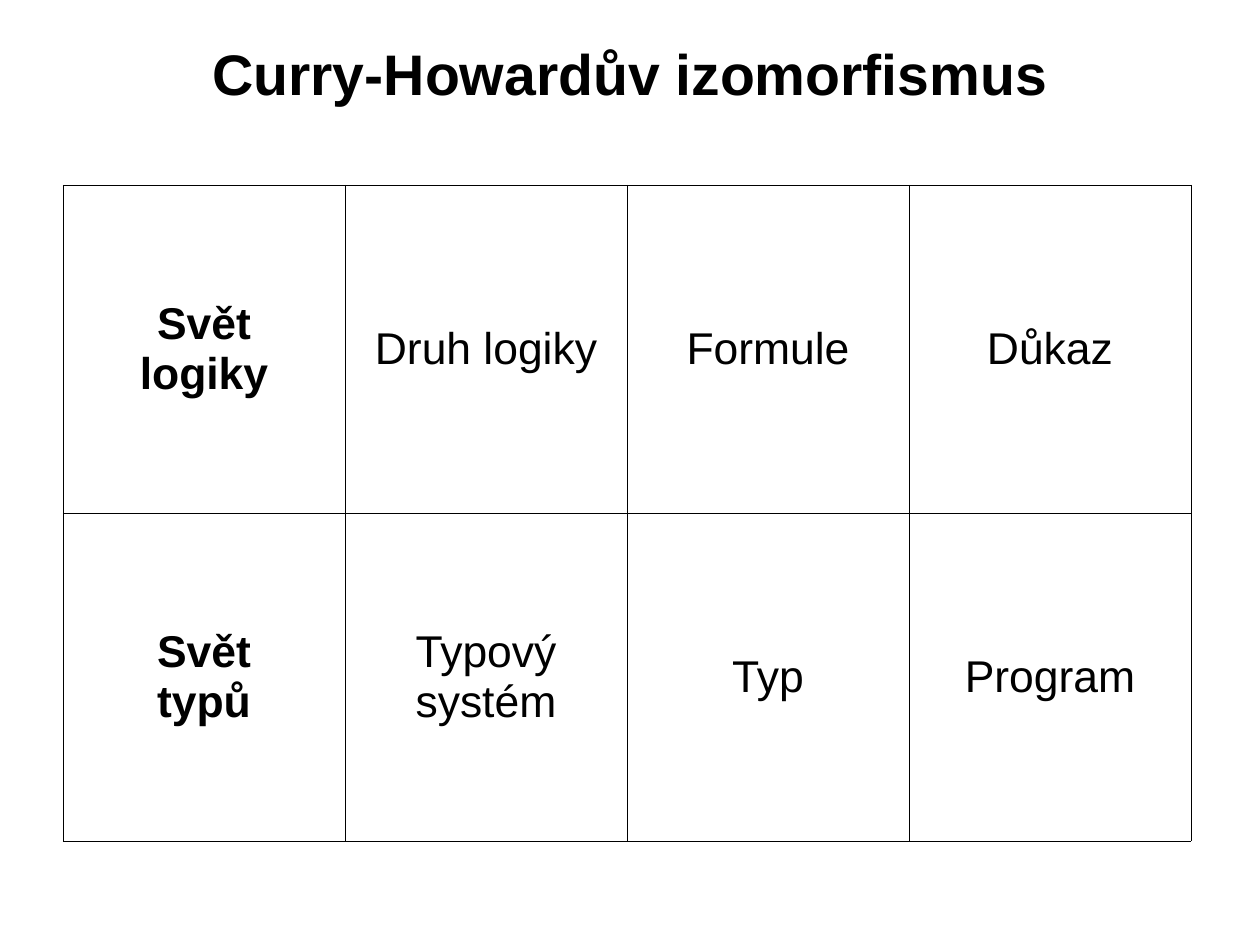
import pptx
import pptx.dml.color
import pptx.enum.text
import pptx.oxml
import pptx.oxml.ns
import pptx.util

TITLE = "Curry-Howardův izomorfismus"
WORLDS = [
    ("Svět\nlogiky", "Druh logiky", "Formule", "Důkaz"),
    ("Svět\ntypů", "Typový systém", "Typ", "Program"),
]

BLACK = pptx.dml.color.RGBColor(0, 0, 0)
WHITE = pptx.dml.color.RGBColor(255, 255, 255)
FONT = "Arial"
EMU_PER_PX = 8000
BORDER_EMU = 762

SLIDE_WIDTH, SLIDE_HEIGHT = 1260, 945
TITLE_BOX = (63, 41, 1134, 64)
TABLE_LEFT, TABLE_TOP = 63, 185
COLUMN_WIDTH, ROW_HEIGHT = 282, 328


def px(length):
    return pptx.util.Emu(length * EMU_PER_PX)


def write_text(frame, text, size, bold):
    frame.text = text
    frame.word_wrap = True
    for para in frame.paragraphs:
        para.alignment = pptx.enum.text.PP_ALIGN.CENTER
        para.font.name = FONT
        para.font.size = pptx.util.Pt(size)
        para.font.bold = bold
        para.font.color.rgb = BLACK


def add_borders(cell):
    properties = cell._tc.get_or_add_tcPr()
    for index, side in enumerate(("lnL", "lnR", "lnT", "lnB")):
        line = pptx.oxml.parse_xml(
            f'<a:{side} {pptx.oxml.ns.nsdecls("a")} w="{BORDER_EMU}">'
            f'<a:solidFill><a:srgbClr val="{BLACK}"/></a:solidFill></a:{side}>'
        )
        properties.insert(index, line)


def add_title(page):
    box = page.shapes.add_textbox(*map(px, TITLE_BOX))
    frame = box.text_frame
    frame.margin_left = frame.margin_right = 0
    frame.margin_top = frame.margin_bottom = 0
    frame.vertical_anchor = pptx.enum.text.MSO_ANCHOR.MIDDLE
    write_text(frame, TITLE, 36, True)


def add_worlds_table(page):
    row_count, column_count = len(WORLDS), len(WORLDS[0])
    table = page.shapes.add_table(
        row_count, column_count, px(TABLE_LEFT), px(TABLE_TOP),
        px(COLUMN_WIDTH * column_count), px(ROW_HEIGHT * row_count),
    ).table
    table.first_row = False
    table.horz_banding = False
    for row, world in enumerate(WORLDS):
        for column, text in enumerate(world):
            cell = table.cell(row, column)
            cell.vertical_anchor = pptx.enum.text.MSO_ANCHOR.MIDDLE
            cell.fill.solid()
            cell.fill.fore_color.rgb = WHITE
            add_borders(cell)
            write_text(cell.text_frame, text, 28, column == 0)


def main():
    deck = pptx.Presentation()
    deck.slide_width = px(SLIDE_WIDTH)
    deck.slide_height = px(SLIDE_HEIGHT)
    page = deck.slides.add_slide(deck.slide_layouts[6])
    add_title(page)
    add_worlds_table(page)
    deck.save("out.pptx")


if __name__ == "__main__":
    main()
